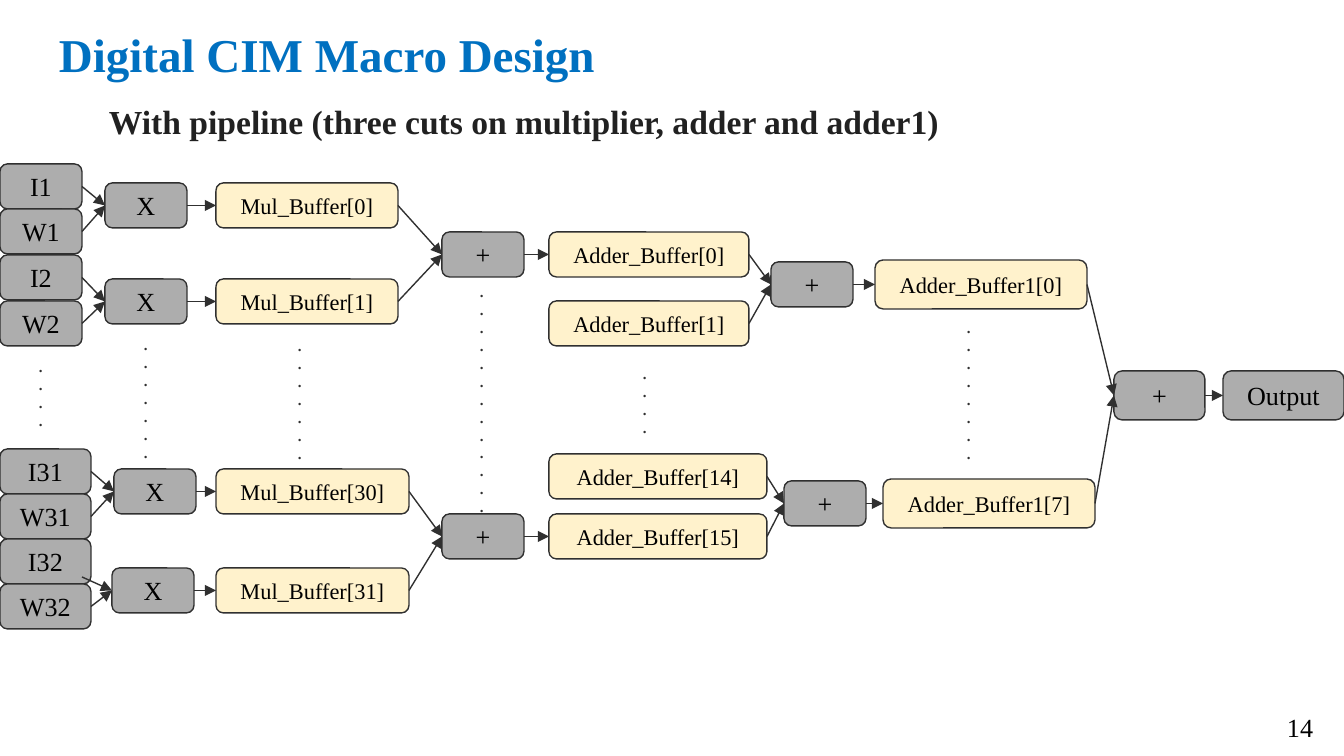
import pptx
import pptx.dml.color
import pptx.enum.shapes
import pptx.enum.text
import pptx.oxml
import pptx.oxml.ns
import pptx.util

PX = 914400 / 134.4
GRAY, CREAM, INK = "ADADAD", "FFF2CC", "303030"
LEFT = pptx.enum.text.PP_ALIGN.LEFT
MID = pptx.enum.text.PP_ALIGN.CENTER


def px(num):
    """Turn px into EMU."""
    return pptx.util.Emu(round(num * PX))


def color(fmt, code):
    """Give a color format its hex value."""
    fmt.rgb = pptx.dml.color.RGBColor.from_string(code)


def style(item, vals):
    """Set each format value on an item."""
    for key, val in vals.items():
        setattr(item, key, val)


def write(shape, lines, size, code="000000", bold=False, align=LEFT, frame=None, para=None):
    """Fill a shape with styled paragraphs."""
    text = shape.text_frame
    edges = ("left", "top", "right", "bottom")
    style(text, {"word_wrap": True, **{f"margin_{edge}": px(13) for edge in edges}, **(frame or {})})
    text.text = "\n".join(lines)
    for row in text.paragraphs:
        style(row, {"alignment": align, **(para or {})})
        for run in row.runs:
            style(run.font, {"name": "Times New Roman", "size": pptx.util.Pt(size), "bold": bold})
            color(run.font.color, code)


def label(slide, box, lines, size, **kind):
    """Add a text box."""
    shape = slide.shapes.add_textbox(*map(px, box))
    write(shape, lines, size, **kind)


def node(slide, box, word, fill=GRAY):
    """Add a rounded block with its word."""
    kind = pptx.enum.shapes.MSO_SHAPE.ROUNDED_RECTANGLE
    shape = slide.shapes.add_shape(kind, *map(px, box))
    shape.shadow.inherit = False
    shape.fill.solid()
    color(shape.fill.fore_color, fill)
    color(shape.line.color, INK)
    shape.line.width = pptx.util.Pt(0.75)
    frame = {"vertical_anchor": pptx.enum.text.MSO_ANCHOR.MIDDLE}
    write(shape, [word], 12 if fill == CREAM else 14, align=MID, frame=frame)
    return shape


def arrow(slide, start, end):
    """Point from a block or a spot to the left side of a block."""
    spot = start if isinstance(start, tuple) else (0, 0)
    kind = pptx.enum.shapes.MSO_CONNECTOR.STRAIGHT
    line = slide.shapes.add_connector(kind, *map(px, spot), 0, 0)
    if not isinstance(start, tuple):
        line.begin_connect(start, 3)
    line.end_connect(end, 1)
    color(line.line.color, INK)
    line.line.width = pptx.util.Pt(0.75)
    props = line._element.spPr
    edge = props.find(pptx.oxml.ns.qn("a:ln"))
    space = pptx.oxml.ns.nsdecls("a")
    edge.append(pptx.oxml.parse_xml(f'<a:tailEnd {space} type="triangle"/>'))
    props.append(pptx.oxml.parse_xml(f"<a:effectLst {space}/>"))


def stage(slide, box, sign, word, wide, ins=(), op=(82, 45), fill=CREAM):
    """Place an operator at the left of the box and its result at the right."""
    x, y, w, h = box
    math = node(slide, (x, y + (h - op[1]) // 2, *op), sign)
    result = node(slide, (x + w - wide, y, wide, h), word, fill)
    for item in ins:
        arrow(slide, item, math)
    arrow(slide, math, result)
    return result


def lane(slide, box, num, inset, drop, wide, skew=None):
    """Place an input and weight pair, its multiplier and its buffer."""
    x, y, w, h = box
    size = (82 if num < 30 else 91, 45)
    pair = [node(slide, (x, y + step, *size), f"{name}{num + 1}")
            for name, step in (("I", 0), ("W", h - 45))]
    if skew:
        pair[0] = (x + skew[0], y + skew[1])
    inner = (x + inset, y + drop, w - inset, 45)
    return stage(slide, inner, "X", f"Mul_Buffer[{num}]", wide, pair)


def tree(slide, box):
    """Place the whole pipeline from inputs to output."""
    x, y, w, h = box
    ways = ((0, 0, 398, 90, 105, 19, 182), (1, 91, 398, 91, 105, 24, 182),
            (30, 285, 409, 90, 114, 20, 193), (31, 375, 409, 90, 112, 29, 193, (82, 38)))
    muls = [lane(slide, (x, y + top, span, tall), num, *rest)
            for num, top, span, tall, *rest in ways]
    adds = [
        stage(slide, (x + 442, y + 68, 307, 45), "+", "Adder_Buffer[0]", 200, muls[:2]),
        node(slide, (x + 549, y + 137, 200, 45), "Adder_Buffer[1]", CREAM),
        node(slide, (x + 549, y + 290, 218, 45), "Adder_Buffer[14]", CREAM),
        stage(slide, (x + 442, y + 350, 325, 45), "+", "Adder_Buffer[15]", 218, muls[2:]),
    ]
    ends = [
        stage(slide, (x + 771, y + 96, 316, 49), "+", "Adder_Buffer1[0]", 212, adds[:2]),
        stage(slide, (x + 784, y + 315, 311, 49), "+", "Adder_Buffer1[7]", 212, adds[2:]),
    ]
    stage(slide, (x + 1114, y + 207, w - 1114, 49), "+", "Output", 121, ends, (91, 49), GRAY)
    for left, top, tall, count in ((26, 181, 90, 4), (131, 159, 147, 7), (285, 160, 147, 7),
                                   (467, 106, 241, 13), (630, 188, 97, 4), (954, 142, 161, 8)):
        label(slide, (x + left, y + top, 31, tall), ["."] * count, 8, code=INK, bold=True)


def head(slide, box):
    """Place the title and the line below it."""
    x, y, w, h = box
    label(slide, (x, y, w, 85), ["Digital CIM Macro Design"], 25.2, code="0070C0", bold=True)
    label(slide, (x + 16, y + 70, w, h - 70),
          ["With pipeline (three cuts on multiplier, adder and adder1)"], 18, code="212121",
          bold=True, frame={"margin_left": px(47)},
          para={"line_spacing": 1.15, "space_after": pptx.util.Pt(12)})


def foot(slide, box):
    """Place the page number."""
    label(slide, box, ["14"], 14, frame={"margin_top": px(7), "margin_bottom": px(7)})


def main():
    """Build the slide and save it."""
    deck = pptx.Presentation()
    style(deck, {"slide_width": px(1344), "slide_height": px(756)})
    slide = deck.slides.add_slide(deck.slide_layouts[6])
    head(slide, (46, 12, 1253, 148))
    tree(slide, (0, 164, 1344, 465))
    foot(slide, (1274, 704, 85, 46))
    deck.save("out.pptx")


if __name__ == "__main__":
    main()
